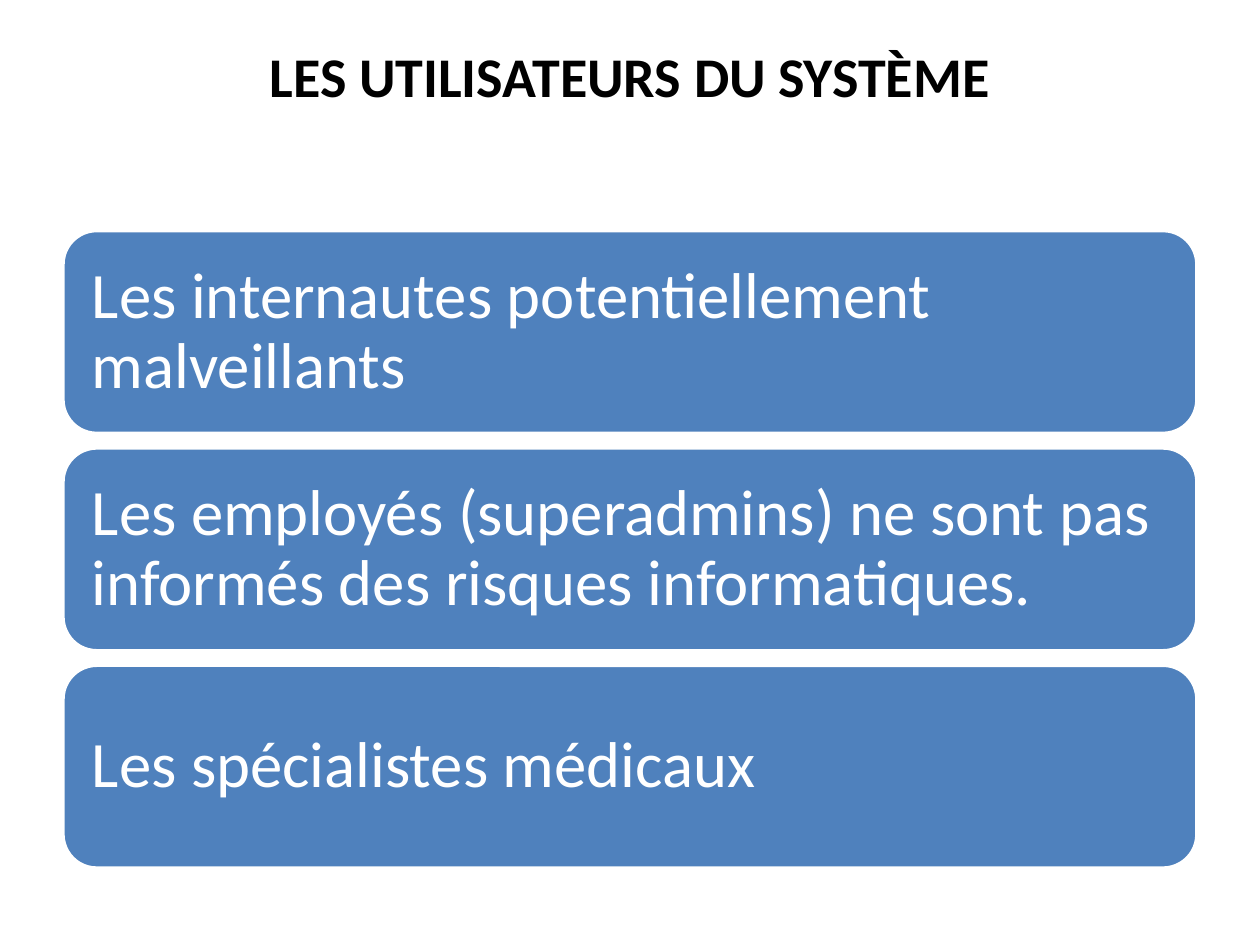
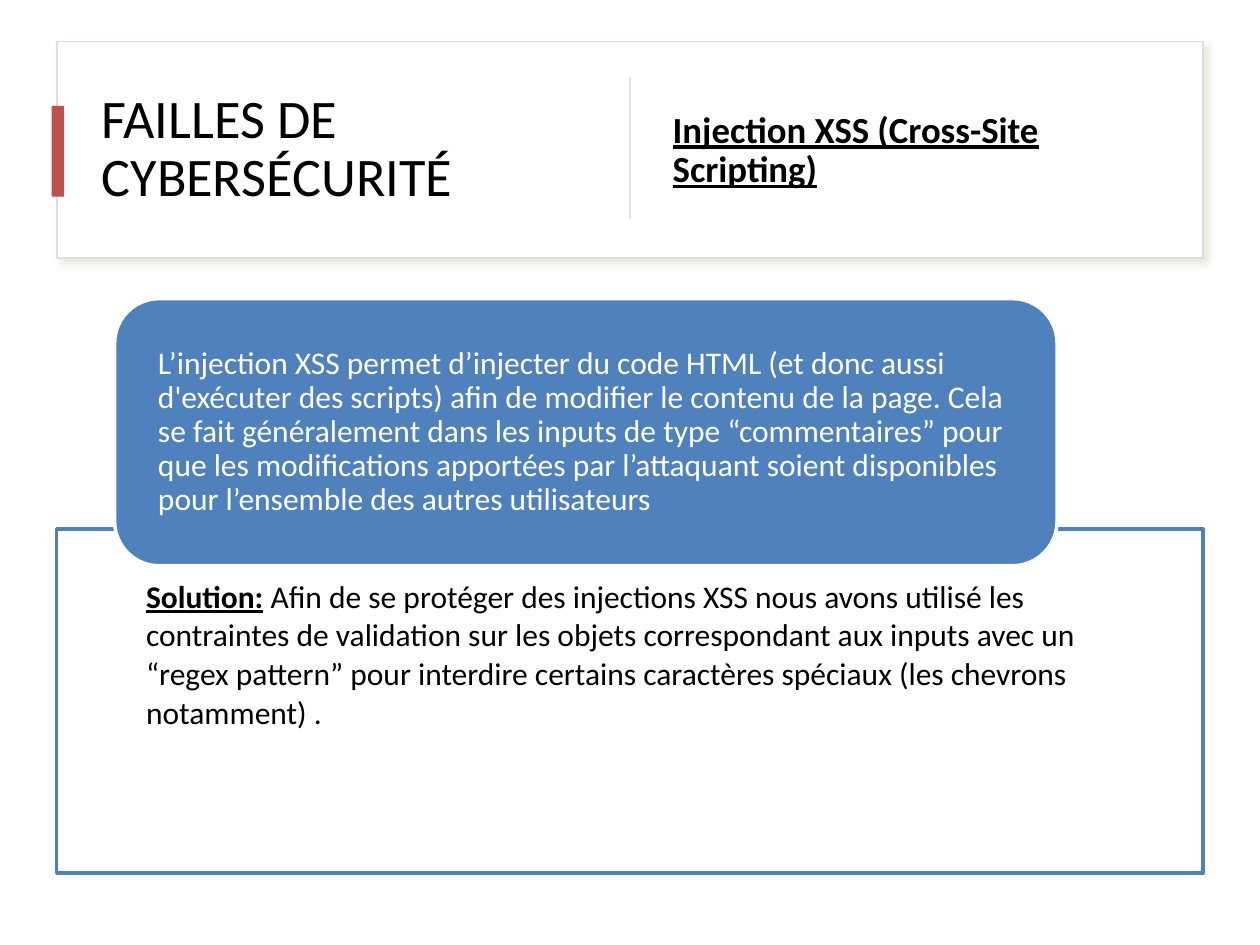
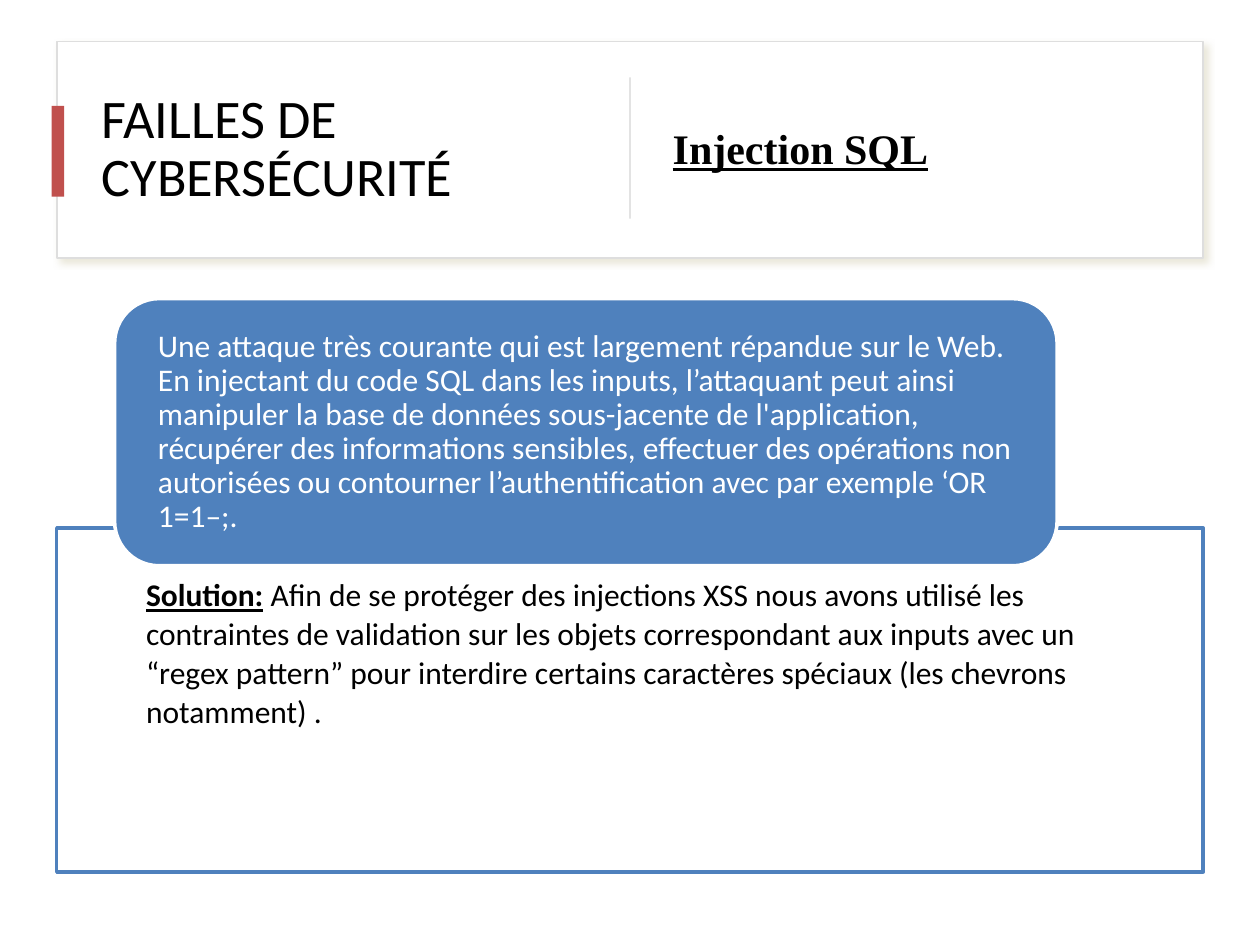
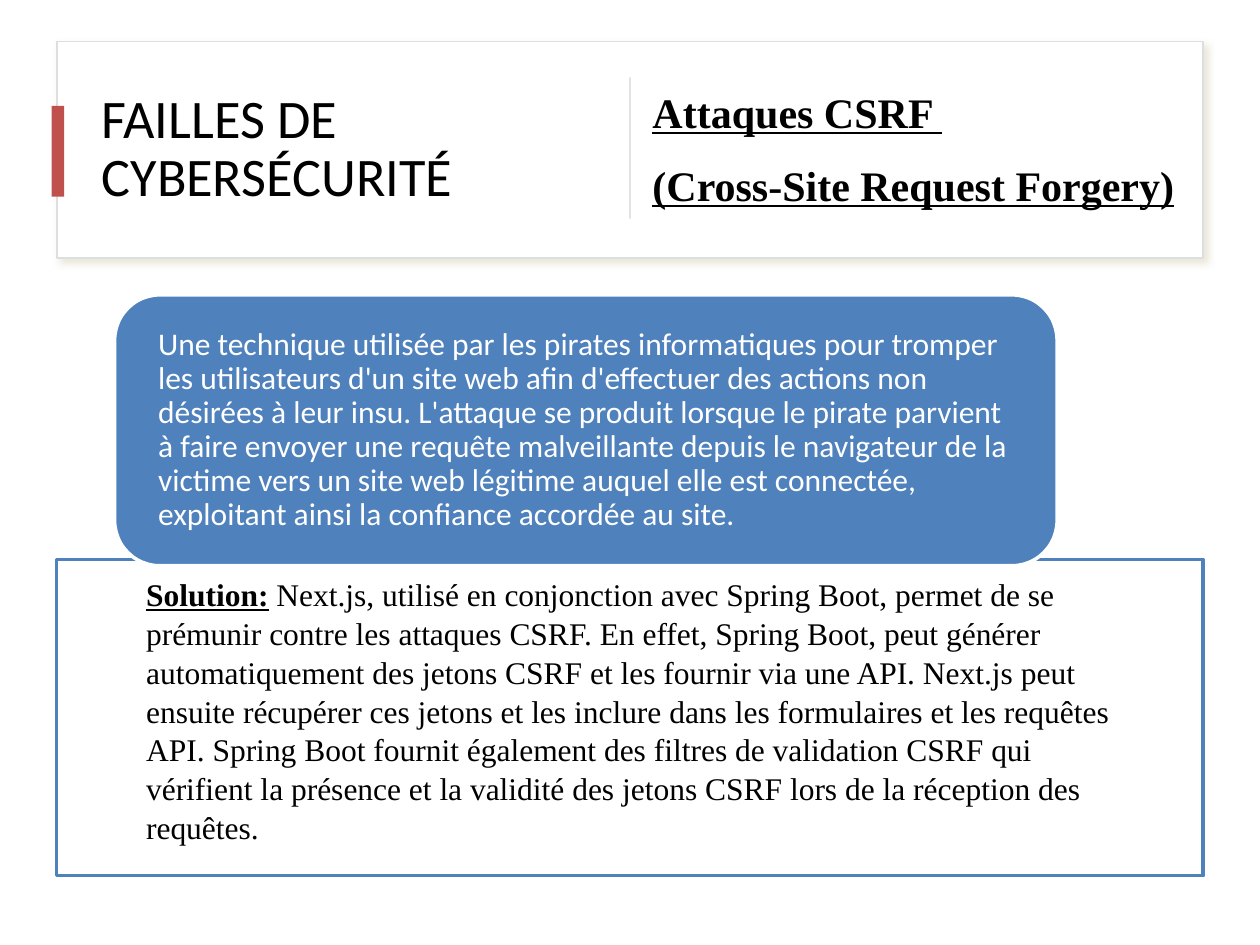
from lxml import etree
from pptx import Presentation
from pptx.dml.color import RGBColor
from pptx.enum.shapes import MSO_SHAPE
from pptx.enum.text import MSO_ANCHOR, PP_ALIGN
from pptx.oxml.ns import qn
from pptx.util import Inches, Pt

RECT, ROUND = MSO_SHAPE.RECTANGLE, MSO_SHAPE.ROUNDED_RECTANGLE
TOP, MIDDLE = MSO_ANCHOR.TOP, MSO_ANCHOR.MIDDLE
CENTER = PP_ALIGN.CENTER

# Shared colours and fonts
BLACK = RGBColor(0x00, 0x00, 0x00)
WHITE = RGBColor(0xFF, 0xFF, 0xFF)
BLUE = RGBColor(0x4F, 0x81, 0xBD)
RED = RGBColor(0xC0, 0x50, 0x4D)
CARD_EDGE = RGBColor(0xDE, 0xDE, 0xDE)
RULE_GREY = RGBColor(0xD5, 0xD5, 0xD5)
SHADOW = RGBColor(0xD5, 0xD0, 0xB5)
SANS, SERIF = "Calibri", "Times New Roman"

# Shared paragraph formats
CARD_TITLE = {"line_spacing": 0.9, "space_after": Pt(6)}
HEADING = {"line_spacing": 0.9, "space_before": Pt(10), "space_after": Pt(6)}
TIGHT = {"line_spacing": 0.9}
SOLUTION = {"line_spacing": 0.9, "level": 1}

DEFAULT_INSETS = (0.1, 0.05, 0.1, 0.05)

REGEX_SOLUTION = [
    " Afin de se protéger des injections XSS nous avons utilisé les",
    "contraintes de validation sur les objets correspondant aux inputs avec un",
    "“regex pattern” pour interdire certains caractères spéciaux (les chevrons",
    "notamment) .",
]
CSRF_SOLUTION = [
    " Next.js, utilisé en conjonction avec Spring Boot, permet de se",
    "prémunir contre les attaques CSRF. En effet, Spring Boot, peut générer",
    "automatiquement des jetons CSRF et les fournir via une API. Next.js peut",
    "ensuite récupérer ces jetons et les inclure dans les formulaires et les requêtes",
    "API. Spring Boot fournit également des filtres de validation CSRF qui",
    "vérifient la présence et la validité des jetons CSRF lors de la réception des",
    "requêtes.",
]

USERS = [
    "Les internautes potentiellement malveillants",
    "Les employés (superadmins) ne sont pas informés des risques informatiques.",
    "Les spécialistes médicaux",
]

# One entry per flaw slide; spans are (top, height)
FLAWS = [
    {
        "heading": ["Injection XSS (Cross-Site Scripting)"],
        "heading_font": (21, SANS), "heading_x": (5.24, 4.05),
        "bubble": (2.37, 2.12), "panel": (4.2, 2.73), "panel_inset": 0.41,
        "text": "L’injection XSS permet d’injecter du code HTML (et donc aussi "
                "d'exécuter des scripts) afin de modifier le contenu de la page. "
                "Cela se fait généralement dans les inputs de type “commentaires” "
                "pour que les modifications apportées par l’attaquant soient "
                "disponibles pour l’ensemble des autres utilisateurs",
        "solution": REGEX_SOLUTION, "solution_font": SANS,
    },
    {
        "heading": ["Injection SQL"],
        "heading_font": (24, SERIF), "heading_x": (5.24, 4.05),
        "bubble": (2.37, 2.12), "panel": (4.19, 2.73), "panel_inset": 0.41,
        "text": "Une attaque très courante qui est largement répandue sur le Web. "
                "En injectant du code SQL dans les inputs, l’attaquant peut ainsi "
                "manipuler la base de données sous-jacente de l'application, "
                "récupérer des informations sensibles, effectuer des opérations "
                "non autorisées ou contourner l’authentification avec par exemple "
                "‘OR 1=1–;.",
        "solution": REGEX_SOLUTION, "solution_font": SANS,
    },
    {
        "heading": ["Attaques CSRF ", "(Cross-Site Request Forgery)"],
        "heading_font": (24, SERIF), "heading_x": (5.08, 4.41),
        "bubble": (2.34, 2.15), "panel": (4.44, 2.51), "panel_inset": 0.16,
        "text": "Une technique utilisée par les pirates informatiques pour tromper "
                "les utilisateurs d'un site web afin d'effectuer des actions non "
                "désirées à leur insu. L'attaque se produit lorsque le pirate "
                "parvient à faire envoyer une requête malveillante depuis le "
                "navigateur de la victime vers un site web légitime auquel elle "
                "est connectée, exploitant ainsi la confiance accordée au site.",
        "solution": CSRF_SOLUTION, "solution_font": SERIF,
    },
]


# Helpers
def set_attrs(obj, values):
    for name, value in values.items():
        setattr(obj, name, value)


def font(size, name=SANS, color=BLACK, **extra):
    return {"size": Pt(size), "name": name, "color": color, **extra}


def add_run(p, text, fmt):
    r = p.add_run()
    r.text = text
    set_attrs(r.font, {k: v for k, v in fmt.items() if k != "color"})
    r.font.color.rgb = fmt["color"]


def space_after_percent(p, percent):
    p.space_after = Pt(0)
    spacing = p._p.pPr.find(qn("a:spcAft"))
    spacing.clear()
    etree.SubElement(spacing, qn("a:spcPct"), val=str(percent * 1000))


def add_text(slide, box, paragraphs, para_fmt, anchor=TOP,
             insets=DEFAULT_INSETS, after_percent=None):
    """Each paragraph is a list of (text, font format) runs."""
    sp = slide.shapes.add_textbox(*map(Inches, box))
    tf = sp.text_frame
    left, top, right, bottom = map(Inches, insets)
    set_attrs(tf, {"word_wrap": True, "vertical_anchor": anchor,
                   "margin_left": left, "margin_top": top,
                   "margin_right": right, "margin_bottom": bottom})
    for i, runs in enumerate(paragraphs):
        p = tf.add_paragraph() if i else tf.paragraphs[0]
        set_attrs(p, para_fmt)
        if after_percent:
            space_after_percent(p, after_percent)
        for text, fmt in runs:
            add_run(p, text, fmt)
    return sp


def add_box(slide, kind, box, fill, line=None, width=1):
    sp = slide.shapes.add_shape(kind, *map(Inches, box))
    sp.shadow.inherit = False
    sp.fill.solid()
    sp.fill.fore_color.rgb = fill
    if line is None:
        sp.line.fill.background()
    else:
        sp.line.color.rgb = line
        sp.line.width = Pt(width)
    return sp


def add_alpha(color_element, percent):
    etree.SubElement(color_element, qn("a:alpha"), val=str(percent * 1000))


def add_shadow(sp, color, alpha, blur, dist, angle):
    effects = sp._element.spPr.find(qn("a:effectLst"))
    shadow = etree.SubElement(effects, qn("a:outerShdw"), blurRad=str(Pt(blur)),
                              dist=str(Pt(dist)), dir=str(angle * 60000))
    add_alpha(etree.SubElement(shadow, qn("a:srgbClr"), val=str(color)), alpha)


# Elements
def add_bubble(slide, box, text, size, insets):
    add_box(slide, ROUND, box, BLUE, WHITE, 2)
    x, y, w, h = box
    pad = 0.049 * h  # clears the rounded corners
    add_text(slide, (x + pad, y + pad, w - 2 * pad, h - 2 * pad),
             [[(text, font(size, color=WHITE))]], TIGHT, MIDDLE, insets, 35)


def add_header(slide, flaw):
    card = add_box(slide, RECT, (0.45, 0.33, 9.1, 1.72), WHITE, CARD_EDGE)
    add_shadow(card, SHADOW, alpha=50, blur=4, dist=3, angle=45)
    add_text(slide, (0.71, 0.44, 4.1, 1.5),
             [[("FAILLES DE CYBERSÉCURITÉ", font(31))]], CARD_TITLE, MIDDLE)
    x, w = flaw["heading_x"]
    fmt = font(*flaw["heading_font"], bold=True, underline=True)
    add_text(slide, (x, 0.55, w, 1.3),
             [[(line, fmt)] for line in flaw["heading"]], HEADING, MIDDLE)
    add_box(slide, RECT, (0.41, 0.84, 0.1, 0.72), RED)
    divider = add_box(slide, RECT, (4.44, 1.17, 1.12, 0.01), RULE_GREY)
    divider.rotation = 90


def add_solution(slide, flaw):
    top, height = flaw["panel"]
    box = (0.45, top, 9.1, height)
    panel = add_box(slide, RECT, box, WHITE, BLUE, 2)
    add_alpha(panel._element.spPr.find(qn("a:solidFill"))[0], 90)
    body = font(18, flaw["solution_font"])
    label = ("Solution:", {**body, "bold": True, "underline": True})
    lines = [[(line, body)] for line in flaw["solution"]]
    lines[0].insert(0, label)
    sp = add_text(slide, box, lines, SOLUTION, TOP,
                  (0.71, flaw["panel_inset"], 0.71, 0.14), 15)
    for p in sp.text_frame.paragraphs:
        p._p.pPr.set("marL", str(Inches(0.19)))
        p._p.pPr.set("indent", str(Inches(-0.19)))


# Slides
def build_users(slide):
    add_text(slide, (0.5, 0.28, 9, 0.64),
             [[("LES UTILISATEURS DU SYSTÈME", font(32, bold=True))]],
             {"alignment": CENTER})
    for i, user in enumerate(USERS):
        add_bubble(slide, (0.5, 1.83 + 1.725 * i, 9, 1.61), user, 37, (0.15,) * 4)


def build_flaw(slide, flaw):
    add_header(slide, flaw)
    add_solution(slide, flaw)
    top, height = flaw["bubble"]
    add_bubble(slide, (0.91, top, 7.48, height), flaw["text"], 18,
               (0.24, 0, 0.24, 0))


def main():
    prs = Presentation()
    prs.slide_width, prs.slide_height = Inches(10), Inches(7.5)
    blank = prs.slide_layouts[6]
    build_users(prs.slides.add_slide(blank))
    for flaw in FLAWS:
        build_flaw(prs.slides.add_slide(blank), flaw)
    prs.save("out.pptx")


if __name__ == "__main__":
    main()
